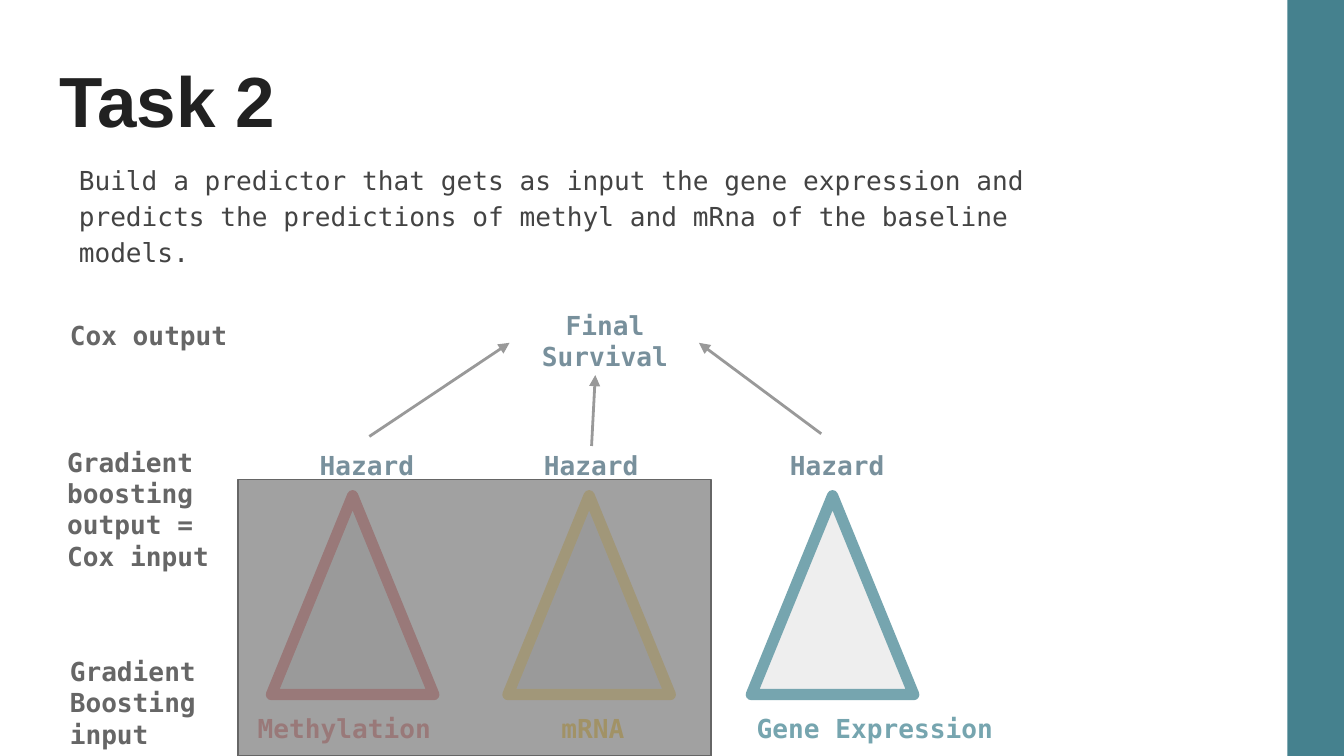
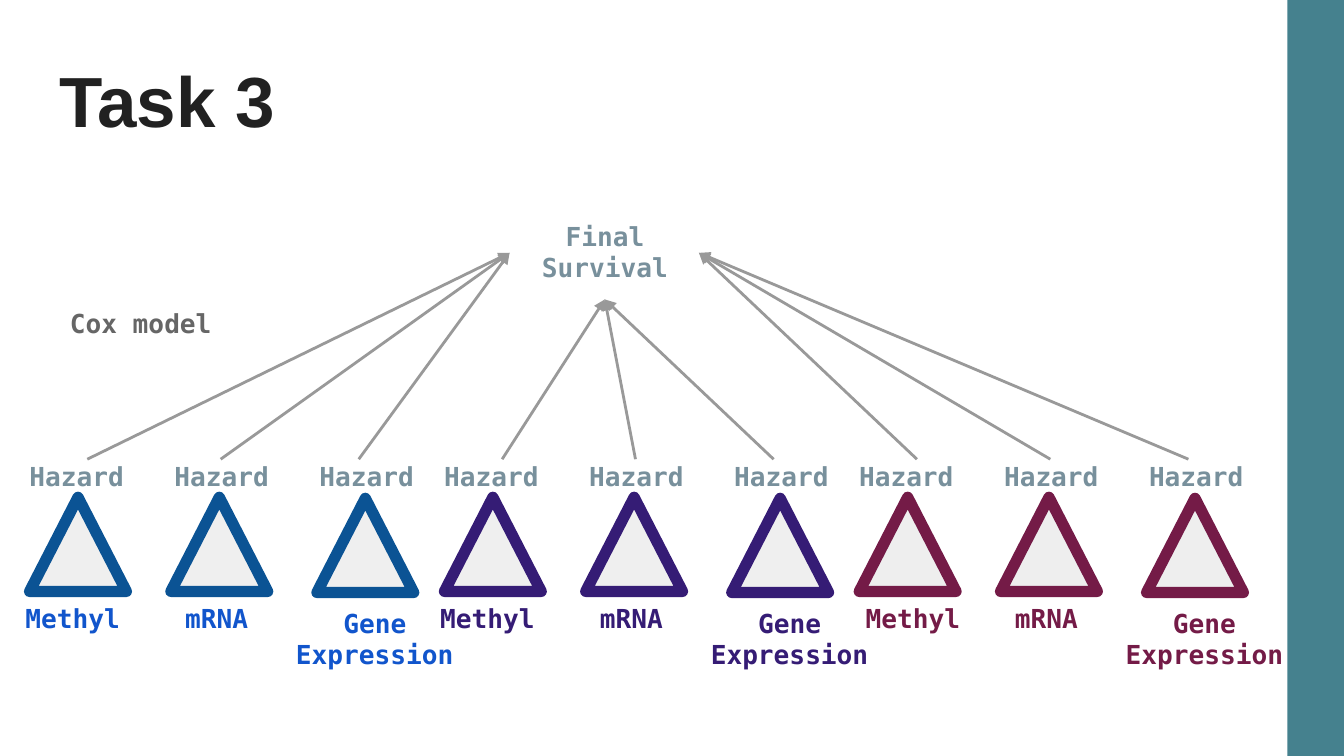
"""Build two slides on survival prediction models."""
from dataclasses import dataclass
from typing import Any, NamedTuple

from lxml.etree import SubElement
from pptx import Presentation
from pptx.dml.color import RGBColor
from pptx.enum.shapes import MSO_CONNECTOR, MSO_SHAPE
from pptx.enum.text import MSO_ANCHOR, MSO_AUTO_SIZE, PP_ALIGN
from pptx.oxml.ns import qn
from pptx.util import Cm, Pt

WIDTH, HEIGHT = 25.4, 14.29
TEAL, INK, BODY, GRAY = "45818E", "212121", "434343", "666666"
SLATE, ARROW = "78909C", "999999"
TITLE_FONT = {"name": "Arial", "size": Pt(38), "bold": True}
LABEL_FONT = {"name": "DejaVu Sans Mono", "size": Pt(14), "bold": True}
BODY_FONT = LABEL_FONT | {"bold": False}
FRAME = {
    "word_wrap": True,
    "auto_size": MSO_AUTO_SIZE.NONE,
    "vertical_anchor": MSO_ANCHOR.TOP,
    "margin_left": Cm(0.25),
    "margin_right": Cm(0.25),
    "margin_top": Cm(0.25),
    "margin_bottom": Cm(0.25),
}
TITLE_FRAME = FRAME | {"vertical_anchor": MSO_ANCHOR.MIDDLE}
LEFT = {"alignment": PP_ALIGN.LEFT}
CENTER = {"alignment": PP_ALIGN.CENTER}


class Point(NamedTuple):
    """Position in centimetres."""
    x: float
    y: float


class Box(NamedTuple):
    """Left, top, width and height in centimetres."""
    x: float
    y: float
    w: float
    h: float

    def shifted(self, dx: float) -> "Box":
        """Return the box moved sideways."""
        return self._replace(x=self.x + dx)


@dataclass(frozen=True)
class Model:
    """One predictor: its triangle, input label, hazard and arrow."""
    name: str
    triangle: Box
    label: Box
    hazard: Box
    start: Point


@dataclass(frozen=True)
class Style:
    """Colours of one predictor."""
    outline: str
    text: str
    fill: str = "EEEEEE"


@dataclass(frozen=True)
class Ensemble:
    """Three predictors that share colours and an arrow target."""
    style: Style
    target: Point
    methyl_shift: float = 0


BASE_MODELS = [
    (Model("Methylation", Box(5.13, 9.37, 3.07, 3.76), Box(4.62, 13.21, 4.2, 0.66),
           Box(5.13, 8.25, 3.61, 1.35), Point(6.98, 8.25)),
     Style("EA9999", "EA9999"), Point(9.63, 6.48)),
    (Model("mRNA", Box(9.6, 9.37, 3.07, 3.76), Box(10.36, 13.21, 2.54, 0.66),
           Box(9.37, 8.25, 3.61, 1.35), Point(11.18, 8.43)),
     Style("FFE599", "FFD966"), Point(11.25, 7.09)),
    (Model("Gene Expression", Box(14.2, 9.37, 3.07, 3.76), Box(14.05, 13.21, 5.51, 0.66),
           Box(14.02, 8.25, 3.61, 1.35), Point(15.52, 8.2)),
     Style("76A5AF", "76A5AF"), Point(13.21, 6.48)),
]
STAGES = [
    ("Cox output", Box(1.07, 5.79, 4.01, 1.35)),
    ("Gradient boosting output = Cox input", Box(1.02, 8.18, 4.01, 2.82)),
    ("Gradient Boosting input", Box(1.07, 12.14, 3.61, 1.73)),
]
ENSEMBLE_STEP = 7.84
ARROW_START = 8.68
ENSEMBLE_MODELS = [
    Model("Methyl", Box(0.56, 9.4, 1.83, 1.78), Box(0.23, 11.23, 2.54, 0.3),
          Box(0.18, 8.46, 2.54, 0.64), Point(1.65, ARROW_START)),
    Model("mRNA", Box(3.23, 9.4, 1.83, 1.78), Box(3.25, 11.23, 2.54, 0.3),
          Box(2.87, 8.46, 2.64, 0.64), Point(4.17, ARROW_START)),
    Model("Gene\nExpression", Box(5.99, 9.42, 1.83, 1.78), Box(5.08, 11.23, 4.01, 1.65),
          Box(5.66, 8.46, 2.54, 0.64), Point(6.78, ARROW_START)),
]
ENSEMBLES = [
    Ensemble(Style("0B5394", "1155CC", "EFEFEF"), Point(9.63, 4.78)),
    Ensemble(Style("351C75", "351C75", "EFEFEF"), Point(11.43, 5.66)),
    Ensemble(Style("741B47", "741B47"), Point(13.21, 4.78), 0.2),
]


def rgb(color: str) -> RGBColor:
    """Turn a hex string into a colour."""
    return RGBColor.from_string(color)


def lengths(values: tuple) -> list:
    """Turn centimetres into slide lengths."""
    return [Cm(value) for value in values]


def apply(target: Any, values: dict) -> None:
    """Set each format value on the target."""
    for key, value in values.items():
        setattr(target, key, value)


def write(frame: Any, text: str, color: str, font: dict = LABEL_FONT,
          paragraph: dict = LEFT, layout: dict = FRAME) -> None:
    """Put formatted text into a text frame."""
    apply(frame, layout)
    line = frame.paragraphs[0]
    line.text = text
    apply(line, paragraph)
    for run in line.runs:
        apply(run.font, font)
        run.font.color.rgb = rgb(color)


def add_text(slide: Any, box: Box, text: str, color: str, **formats: dict) -> None:
    """Add a text box."""
    write(slide.shapes.add_textbox(*lengths(box)).text_frame, text, color, **formats)


def add_block(slide: Any, kind: MSO_SHAPE, box: Box, fill: str,
              outline: str = "", width: float = 0) -> Any:
    """Add a filled shape with an optional outline."""
    block = slide.shapes.add_shape(kind, *lengths(box))
    block.shadow.inherit = False
    block.fill.solid()
    block.fill.fore_color.rgb = rgb(fill)
    if outline:
        block.line.color.rgb = rgb(outline)
        block.line.width = Pt(width)
    else:
        block.line.fill.background()
    return block


def add_arrow(slide: Any, start: Point, end: Point) -> None:
    """Add a thin arrow from start to end."""
    arrow = slide.shapes.add_connector(MSO_CONNECTOR.STRAIGHT, *lengths(start + end))
    arrow.line.color.rgb = rgb(ARROW)
    arrow.line.width = Pt(1.5)
    properties = arrow.element.spPr
    SubElement(properties.find(qn("a:ln")), qn("a:tailEnd"), type="triangle")
    SubElement(properties, qn("a:effectLst"))


def add_model(slide: Any, model: Model, style: Style, target: Point,
              shift: float = 0, label_shift: float = 0) -> None:
    """Draw one predictor with its hazard and arrow."""
    triangle = add_block(slide, MSO_SHAPE.ISOSCELES_TRIANGLE,
                         model.triangle.shifted(shift), style.fill, style.outline, 6)
    SubElement(triangle.element.spPr.find(qn("a:ln")), qn("a:round"))
    add_text(slide, model.label.shifted(shift + label_shift), model.name, style.text,
             paragraph=CENTER if "\n" in model.name else LEFT)
    add_arrow(slide, Point(model.start.x + shift, model.start.y), target)
    add_text(slide, model.hazard.shifted(shift), "Hazard", SLATE, paragraph=CENTER)


def add_task(deck: Any, title: str, survival_top: float) -> Any:
    """Add a slide with title, side band and final survival label."""
    slide = deck.slides.add_slide(deck.slide_layouts[5])
    heading = slide.shapes.title
    apply(heading, dict(zip(("left", "top", "width", "height"),
                            lengths((0.87, 0.76, 24.53, 2.24)))))
    write(heading.text_frame, title, INK, TITLE_FONT, layout=TITLE_FRAME)
    add_block(slide, MSO_SHAPE.RECTANGLE, Box(24.33, 0, WIDTH - 24.33, HEIGHT), TEAL)
    add_text(slide, Box(9.63, survival_top, 3.61, 1.78), "Final Survival", SLATE,
             paragraph=CENTER)
    return slide


def add_baseline_task(deck: Any) -> None:
    """Build the slide on predicting the baseline predictions."""
    slide = add_task(deck, "Task 2", 5.59)
    add_text(slide, Box(1.24, 2.77, 20.45, 4.37),
             "Build a predictor that gets as input the gene expression and predicts "
             "the predictions of methyl and mRna of the baseline models.",
             BODY, font=BODY_FONT, paragraph=LEFT | {"line_spacing": 1.15})
    for text, box in STAGES:
        add_text(slide, box, text, GRAY)
    for model, style, target in BASE_MODELS:
        add_model(slide, model, style, target)
    shade = add_block(slide, MSO_SHAPE.RECTANGLE, Box(4.5, 9.07, 8.94, 5.22),
                      GRAY, GRAY, 0.75)
    fill = shade.element.spPr.find(qn("a:solidFill"))
    SubElement(fill[0], qn("a:alpha"), val="61000")


def add_ensemble_task(deck: Any) -> None:
    """Build the slide on the ensemble of nine predictors."""
    slide = add_task(deck, "Task 3", 3.91)
    add_text(slide, Box(1.07, 5.56, 4.01, 1.35), "Cox model", GRAY)
    for index, ensemble in enumerate(ENSEMBLES):
        for model in ENSEMBLE_MODELS:
            label_shift = ensemble.methyl_shift if model.name == "Methyl" else 0
            add_model(slide, model, ensemble.style, ensemble.target,
                      index * ENSEMBLE_STEP, label_shift)


def main() -> None:
    """Build and save the presentation."""
    deck = Presentation()
    deck.slide_width, deck.slide_height = lengths((WIDTH, HEIGHT))
    add_baseline_task(deck)
    add_ensemble_task(deck)
    deck.save("out.pptx")


if __name__ == "__main__":
    main()
